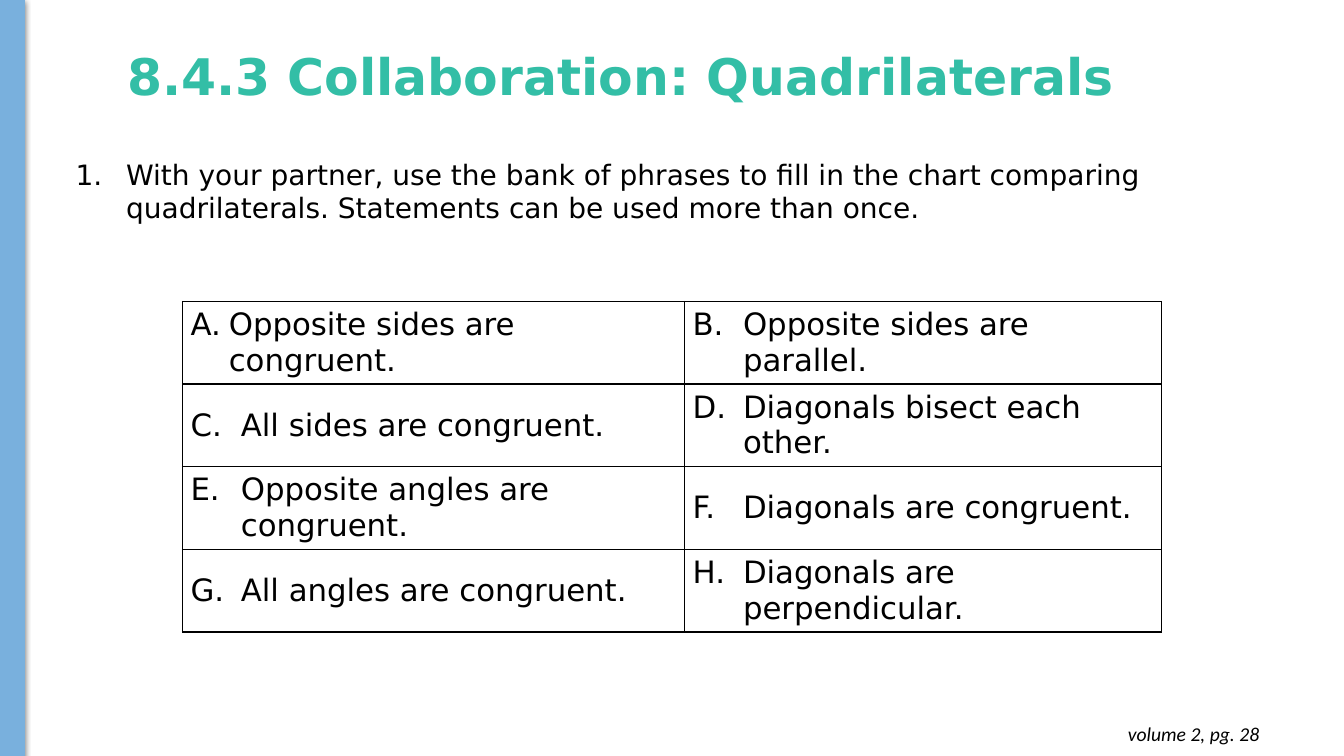
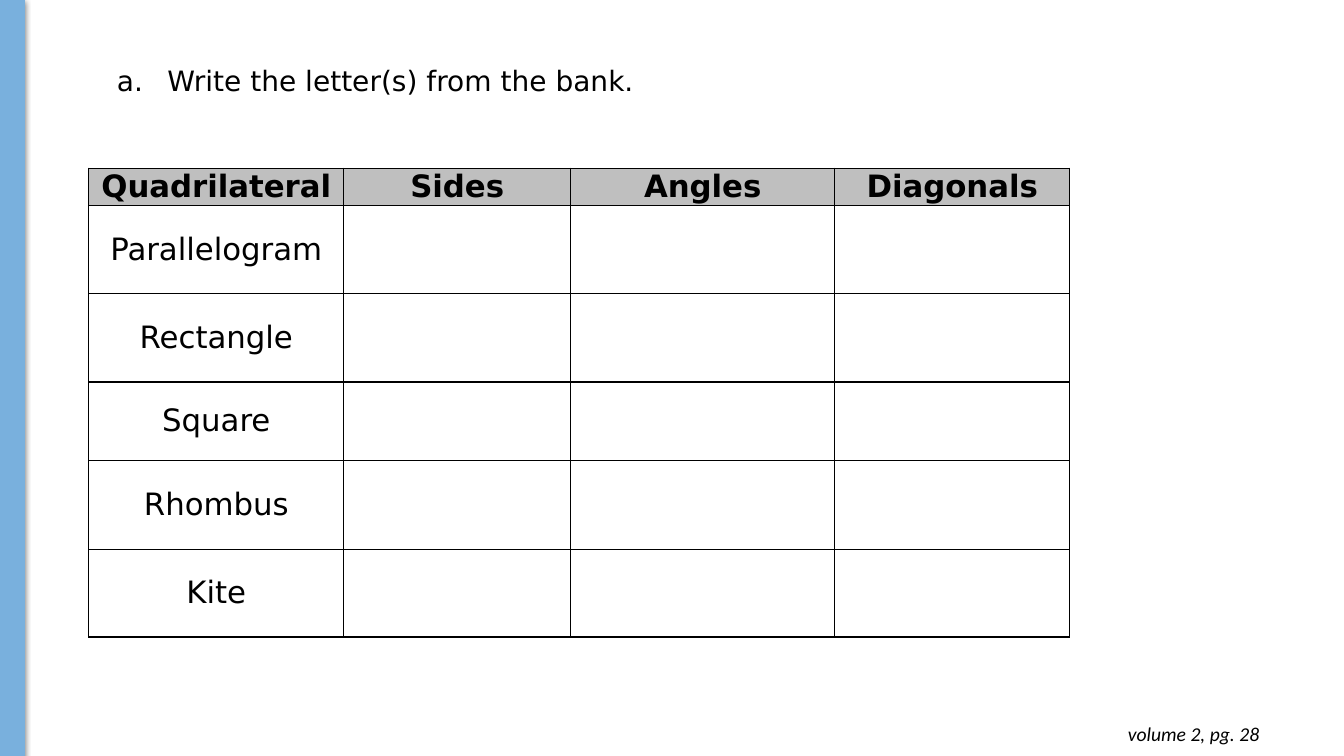
from dataclasses import dataclass

from lxml import etree
from pptx import Presentation
from pptx.dml.color import RGBColor
from pptx.enum.shapes import MSO_SHAPE
from pptx.enum.text import MSO_ANCHOR, MSO_AUTO_SIZE, PP_ALIGN
from pptx.oxml.ns import qn
from pptx.util import Inches, Pt

LEFT, CENTER, RIGHT = PP_ALIGN.LEFT, PP_ALIGN.CENTER, PP_ALIGN.RIGHT
TOP, MIDDLE = MSO_ANCHOR.TOP, MSO_ANCHOR.MIDDLE
FIT_SHAPE, NO_FIT = MSO_AUTO_SIZE.SHAPE_TO_FIT_TEXT, MSO_AUTO_SIZE.NONE
RECTANGLE = MSO_SHAPE.RECTANGLE
TITLE_AND_BODY = 1


@dataclass(frozen=True)
class Theme:
    band: str = "79B0DD"
    title: str = "33BEA6"
    text: str = "000000"
    header: str = "BFBFBF"
    font: str = "DejaVu Sans"
    footer_font: str = "Calibri"
    title_size: int = 36
    body_size: int = 20
    table_size: int = 22
    footer_size: int = 14


THEME = Theme()
FOOTER = "volume 2, pg. 28"
PHRASES = [
    ["Opposite sides are congruent.", "Opposite sides are parallel."],
    ["All sides are congruent.", "Diagonals bisect each other."],
    ["Opposite angles are congruent.", "Diagonals are congruent."],
    ["All angles are congruent.", "Diagonals are perpendicular."],
]
HEADINGS = ["Quadrilateral", "Sides", "Angles", "Diagonals"]
QUADRILATERALS = ["Parallelogram", "Rectangle", "Square", "Rhombus", "Kite"]


def rgb(color):
    return RGBColor.from_string(color)


def add_color(parent, color):
    return etree.SubElement(parent, qn("a:srgbClr"), val=color)


def place(shape, box):
    shape.left, shape.top, shape.width, shape.height = map(Inches, box)


def write(p, text, size, font=THEME.font, color=THEME.text, align=LEFT,
          bold=False, italic=False):
    p.text = text
    p.alignment = align
    for r in p.runs:
        f = r.font
        f.name, f.size, f.bold, f.italic = font, Pt(size), bold, italic
        f.color.rgb = rgb(color)


def number(p, scheme, start=1, indent=0.5):
    """Give a paragraph an automatic number with a hanging indent."""
    pPr = p._p.get_or_add_pPr()
    pPr.set("marL", str(Inches(indent)))
    pPr.set("indent", str(-Inches(indent)))
    add_color(etree.SubElement(pPr, qn("a:buClr")), THEME.text)
    etree.SubElement(pPr, qn("a:buFont"), typeface=THEME.font)
    auto = etree.SubElement(pPr, qn("a:buAutoNum"), type=scheme)
    if start > 1:
        auto.set("startAt", str(start))


def add_band(s, box):
    band = s.shapes.add_shape(RECTANGLE, *map(Inches, box))
    band.fill.solid()
    band.fill.fore_color.rgb = band.line.color.rgb = rgb(THEME.band)
    band.line.width = Pt(0.75)
    band.shadow.inherit = False
    effects = band._element.spPr.find(qn("a:effectLst"))
    shadow = etree.SubElement(effects, qn("a:outerShdw"), blurRad=str(Pt(4.5)),
                              dist=str(Pt(1.5)), dir="5400000", rotWithShape="0")
    etree.SubElement(add_color(shadow, "000000"), qn("a:alpha"), val="50000")


def add_footer(s, box):
    tf = s.shapes.add_textbox(*map(Inches, box)).text_frame
    tf.word_wrap = True
    tf.auto_size = FIT_SHAPE
    tf.margin_top = tf.margin_bottom = Inches(0.1)
    write(tf.paragraphs[0], FOOTER, THEME.footer_size, THEME.footer_font,
          align=RIGHT, italic=True)


def set_title(s, text, box):
    place(s.shapes.title, box)
    tf = s.shapes.title.text_frame
    tf.vertical_anchor = MIDDLE
    tf.auto_size = NO_FIT
    p = tf.paragraphs[0]
    write(p, text, THEME.title_size, color=THEME.title, bold=True)
    p.line_spacing = 0.9


def set_task(s, text, scheme, box):
    body = s.placeholders[1]
    place(body, box)
    tf = body.text_frame
    tf.vertical_anchor = TOP
    tf.auto_size = FIT_SHAPE
    p = tf.paragraphs[0]
    number(p, scheme)
    write(p, text, THEME.body_size)
    p.space_before = Pt(0)


def format_cell(cell, fill=None):
    cell.vertical_anchor = MIDDLE
    cell.margin_left = cell.margin_right = Inches(0.08)
    cell.margin_top = cell.margin_bottom = 0
    tcPr = cell._tc.get_or_add_tcPr()
    for side in ("lnL", "lnR", "lnT", "lnB"):
        ln = etree.SubElement(tcPr, qn(f"a:{side}"), w=str(Pt(1)))
        add_color(etree.SubElement(ln, qn("a:solidFill")), THEME.text)
    if fill:
        cell.fill.solid()
        cell.fill.fore_color.rgb = rgb(fill)
    else:
        cell.fill.background()


def add_grid(s, left, top, widths, heights, header=None):
    """Add a ruled, empty table whose first row may have a fill."""
    table = s.shapes.add_table(
        len(heights), len(widths), Inches(left), Inches(top),
        Inches(sum(widths)), Inches(sum(heights))).table
    table.first_row = bool(header)
    table.horz_banding = False
    for column, width in zip(table.columns, widths):
        column.width = Inches(width)
    for i, (row, height) in enumerate(zip(table.rows, heights)):
        row.height = Inches(height)
        for cell in row.cells:
            format_cell(cell, header if i == 0 else None)
    return table


def add_phrase_bank(s, left, top):
    widths = [4.98, 4.73]
    table = add_grid(s, left, top, widths, [0.82] * len(PHRASES))
    for i, row in enumerate(PHRASES):
        for j, phrase in enumerate(row):
            start = i * len(widths) + j + 1
            p = table.cell(i, j).text_frame.paragraphs[0]
            number(p, "alphaUcPeriod", start, 0.38 if start == 1 else 0.5)
            write(p, phrase, THEME.table_size)


def add_answer_chart(s, left, top):
    table = add_grid(s, left, top, [2.53, 2.25, 2.62, 2.33],
                     [0.37, 0.87, 0.88, 0.78, 0.88, 0.87], THEME.header)
    for j, heading in enumerate(HEADINGS):
        write(table.cell(0, j).text_frame.paragraphs[0], heading,
              THEME.table_size, align=CENTER, bold=True)
    for i, name in enumerate(QUADRILATERALS, 1):
        write(table.cell(i, 0).text_frame.paragraphs[0], name,
              THEME.table_size, align=CENTER)


def new_slide(prs):
    s = prs.slides.add_slide(prs.slide_layouts[TITLE_AND_BODY])
    add_band(s, (0, 0, 0.24, 7.5))
    add_footer(s, (9.71, 7.06, 2.88, 0.44))
    return s


def build_bank_slide(prs):
    s = new_slide(prs)
    set_title(s, "8.4.3 Collaboration: Quadrilaterals", (1.16, 0.06, 10.57, 1.45))
    set_task(s, "With your partner, use the bank of phrases to fill in the chart "
             "comparing quadrilaterals. Statements can be used more than once.",
             "arabicPeriod", (0.65, 1.51, 12.06, 0.77))
    add_phrase_bank(s, 1.81, 2.99)


def build_chart_slide(prs):
    s = new_slide(prs)
    title = s.shapes.title._element
    title.getparent().remove(title)
    set_task(s, "Write the letter(s) from the bank.", "alphaLcPeriod",
             (1.06, 0.58, 8.64, 0.44))
    add_answer_chart(s, 0.88, 1.67)


def main():
    prs = Presentation()
    prs.slide_width, prs.slide_height = Inches(13.33), Inches(7.5)
    build_bank_slide(prs)
    build_chart_slide(prs)
    prs.save("out.pptx")


if __name__ == "__main__":
    main()
